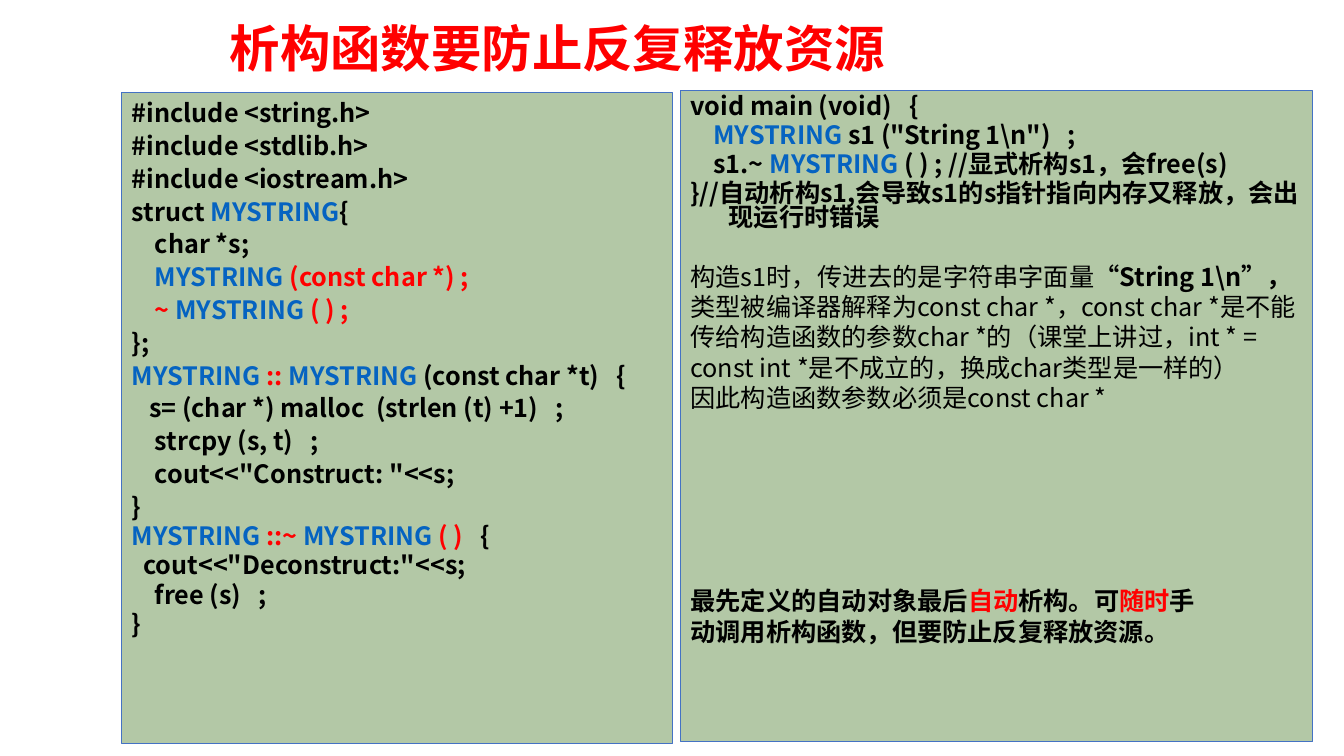
"""Builds the slide on destructors that must not free a resource twice."""
from dataclasses import dataclass

from lxml.etree import SubElement
from pptx import Presentation
from pptx.dml.color import RGBColor
from pptx.enum.shapes import MSO_SHAPE
from pptx.enum.text import MSO_ANCHOR, PP_ALIGN
from pptx.oxml.ns import qn
from pptx.util import Inches, Pt


@dataclass(frozen=True)
class Theme:
    """Colours, fonts and sizes of the slide."""
    ink: str = "000000"
    accent: str = "FF0000"
    type_name: str = "0563C1"
    panel: str = "548235"
    panel_alpha: int = 44
    border: str = "4472C4"
    title_font: str = "Noto Sans CJK SC"
    body_font: str = "Noto Sans CJK JP"
    title_size: float = 36
    body_size: float = 18
    border_width: float = 0.75
    space_width: float = 0.057
    hang: float = 0.38


THEME = Theme()
RED, BLUE = THEME.accent, THEME.type_name
CLASS = ("MYSTRING", BLUE)

DECLARATIONS = [
    (0, ["#include <string.h>"]),
    (0, ["#include <stdlib.h>"]),
    (0, ["#include <iostream.h>"]),
    (0, ["struct ", CLASS, "{"]),
    (4, ["char *s;"]),
    (4, [CLASS, (" (const char *) ;", RED)]),
    (4, [("~", RED), (" MYSTRING", BLUE), (" ( ) ;", RED)]),
    (0, ["};"]),
    (0, [("MYSTRING ", BLUE), ("::", RED), (" MYSTRING", BLUE), " (const char *t)   {"]),
    (3, ["s= (char *) malloc  (strlen (t) +1)   ;"]),
    (4, ["strcpy (s, t)   ;"]),
    (4, ['cout<<"Construct: "<<s;']),
    (0, ["}"]),
]
DESTRUCTOR = [
    (0, [("MYSTRING ", BLUE), ("::~", RED), (" MYSTRING", BLUE), (" ( )   ", RED), "{"]),
    (2, ['cout<<"Deconstruct:"<<s;']),
    (4, ["free (s)   ;"]),
    (0, ["}"]),
]
MAIN_FUNCTION = [
    (0, ["void main (void)   {"]),
    (4, [CLASS, ' s1 ("String 1\\n")   ;']),
    (4, ["s1.~", (" MYSTRING", BLUE), " ( ) ; //显式析构s1，会free(s)"]),
    (0, ["}//自动析构s1,会导致s1的s指针指向内存又释放，会出现运行时错误"]),
]
LITERAL_TYPE = (
    "类型被编译器解释为const char *，const char *是不能传给构造函数的参数char *的"
    "（课堂上讲过，int * = const int *是不成立的，换成char类型是一样的）"
)
ADVICE = ["最先定义的自动对象最后", ("自动", RED), "析构。可", ("随时", RED),
          "手动调用析构函数，但要防止反复释放资源。"]


def add_run(paragraph, text, color=THEME.ink, bold=True, size=THEME.body_size, font=THEME.body_font):
    """Append one styled run to a paragraph."""
    run = paragraph.add_run()
    run.text = text
    run.font.size = Pt(size)
    run.font.bold = bold
    run.font.color.rgb = RGBColor.from_string(color)
    run.font.name = font
    SubElement(run.font._element, qn("a:ea")).set("typeface", font)


def add_paragraph(frame, before=0, line=1.0, align=PP_ALIGN.LEFT):
    """Return the next paragraph of a frame, using the empty first one if it is free."""
    first = frame.paragraphs[0]
    paragraph = frame.add_paragraph() if first.runs else first
    paragraph.space_before = Pt(before)
    paragraph.line_spacing = line
    paragraph.alignment = align
    return paragraph


def add_pieces(paragraph, pieces):
    """Append plain strings and (text, colour) pairs as runs."""
    for piece in pieces:
        add_run(paragraph, *([piece] if isinstance(piece, str) else piece))


def add_code(frame, lines, before, line=1.0, hang=0.0):
    """Write code lines, each with its indent counted in spaces."""
    for spaces, pieces in lines:
        paragraph = add_paragraph(frame, before, line)
        lead = spaces * THEME.space_width
        margins = paragraph._p.get_or_add_pPr()
        margins.set("marL", str(Inches(hang or lead)))
        margins.set("indent", str(Inches(lead - hang if hang else 0)))
        add_pieces(paragraph, pieces)


def add_tight_code(frame, lines):
    """Write code lines with hanging indent and reduced line spacing."""
    add_code(frame, lines, before=0.2 * THEME.body_size, line=0.8, hang=THEME.hang)


def add_panel(slide, left, top, width, height):
    """Add a translucent green panel and return its text frame."""
    panel = slide.shapes.add_shape(
        MSO_SHAPE.RECTANGLE, Inches(left), Inches(top), Inches(width), Inches(height))
    panel.shadow.inherit = False
    panel.fill.solid()
    panel.fill.fore_color.rgb = RGBColor.from_string(THEME.panel)
    tint = panel._element.spPr.find(qn("a:solidFill"))[0]
    SubElement(tint, qn("a:alpha")).set("val", str(THEME.panel_alpha * 1000))
    panel.line.color.rgb = RGBColor.from_string(THEME.border)
    panel.line.width = Pt(THEME.border_width)
    panel.text_frame.word_wrap = True
    panel.text_frame.vertical_anchor = MSO_ANCHOR.TOP
    return panel.text_frame


def add_text(slide, left, top, width, height, anchor=MSO_ANCHOR.TOP):
    """Add a wrapping text box and return its text frame."""
    frame = slide.shapes.add_textbox(
        Inches(left), Inches(top), Inches(width), Inches(height)).text_frame
    frame.word_wrap = True
    frame.vertical_anchor = anchor
    return frame


def add_explanation(frame):
    """Write why the constructor parameter has to be const."""
    reason = add_paragraph(frame, before=21)
    add_run(reason, "构造s1时，传进去的是字符串字面量", bold=False)
    add_run(reason, "“String 1\\n”，")
    add_run(reason, LITERAL_TYPE, bold=False)
    add_run(add_paragraph(frame), "因此构造函数参数必须是const char *", bold=False)


def main():
    """Build and save the slide."""
    deck = Presentation()
    deck.slide_width, deck.slide_height = Inches(13.33), Inches(7.5)
    slide = deck.slides.add_slide(deck.slide_layouts[6])

    title = add_text(slide, 2.18, 0.05, 8.5, 0.92, MSO_ANCHOR.MIDDLE)
    add_run(add_paragraph(title, line=0.9), "析构函数要防止反复释放资源",
            color=RED, size=THEME.title_size, font=THEME.title_font)

    class_code = add_panel(slide, 1.21, 0.92, 5.46, 6.46)
    add_code(class_code, DECLARATIONS, before=0.1 * THEME.body_size)
    add_tight_code(class_code, DESTRUCTOR)

    usage = add_panel(slide, 6.75, 0.9, 6.27, 6.46)
    add_tight_code(usage, MAIN_FUNCTION)
    add_explanation(usage)

    advice = add_text(slide, 6.75, 5.74, 5.2, 0.74)
    add_pieces(add_paragraph(advice, line=1.05, align=PP_ALIGN.JUSTIFY), ADVICE)

    deck.save("out.pptx")


if __name__ == "__main__":
    main()
